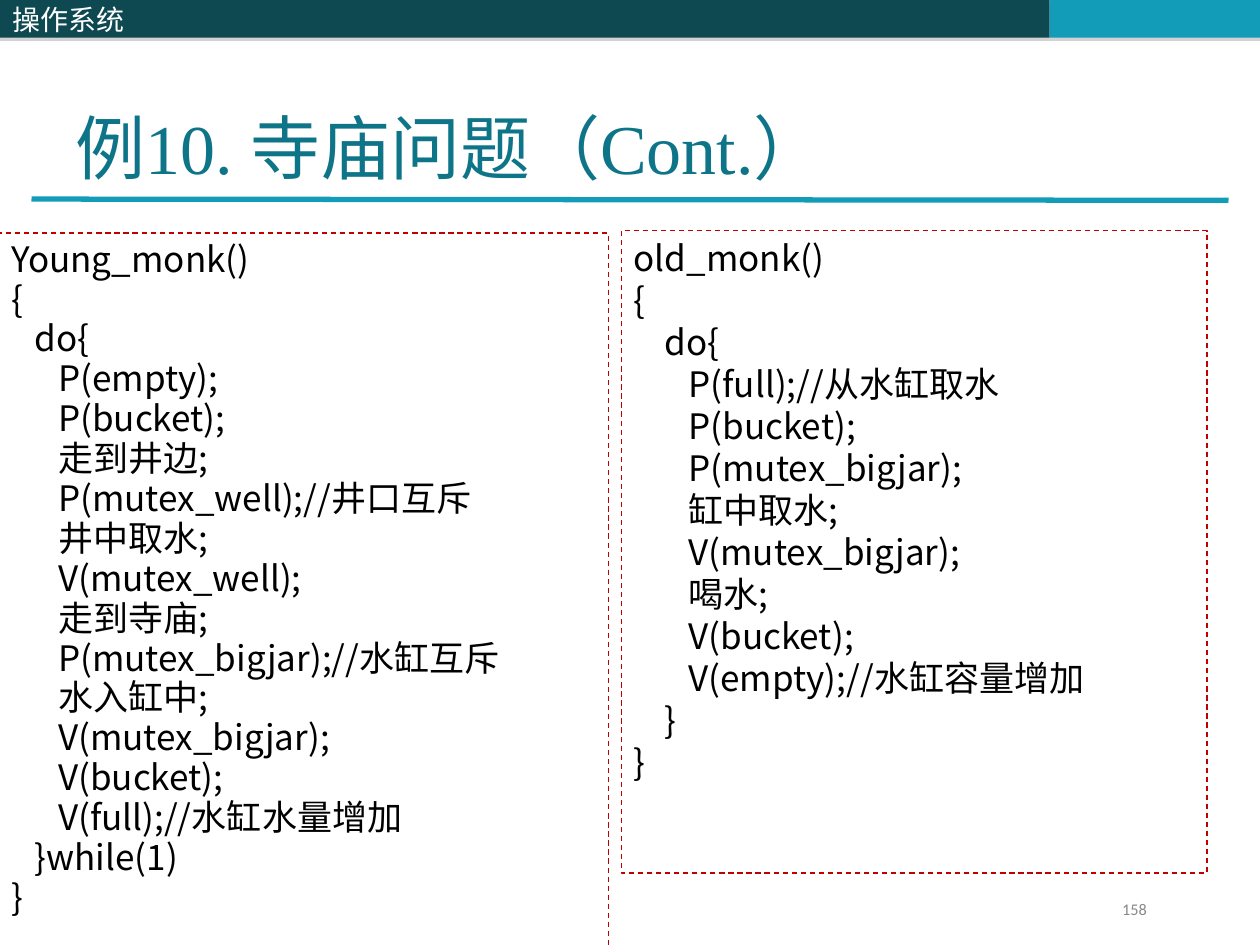
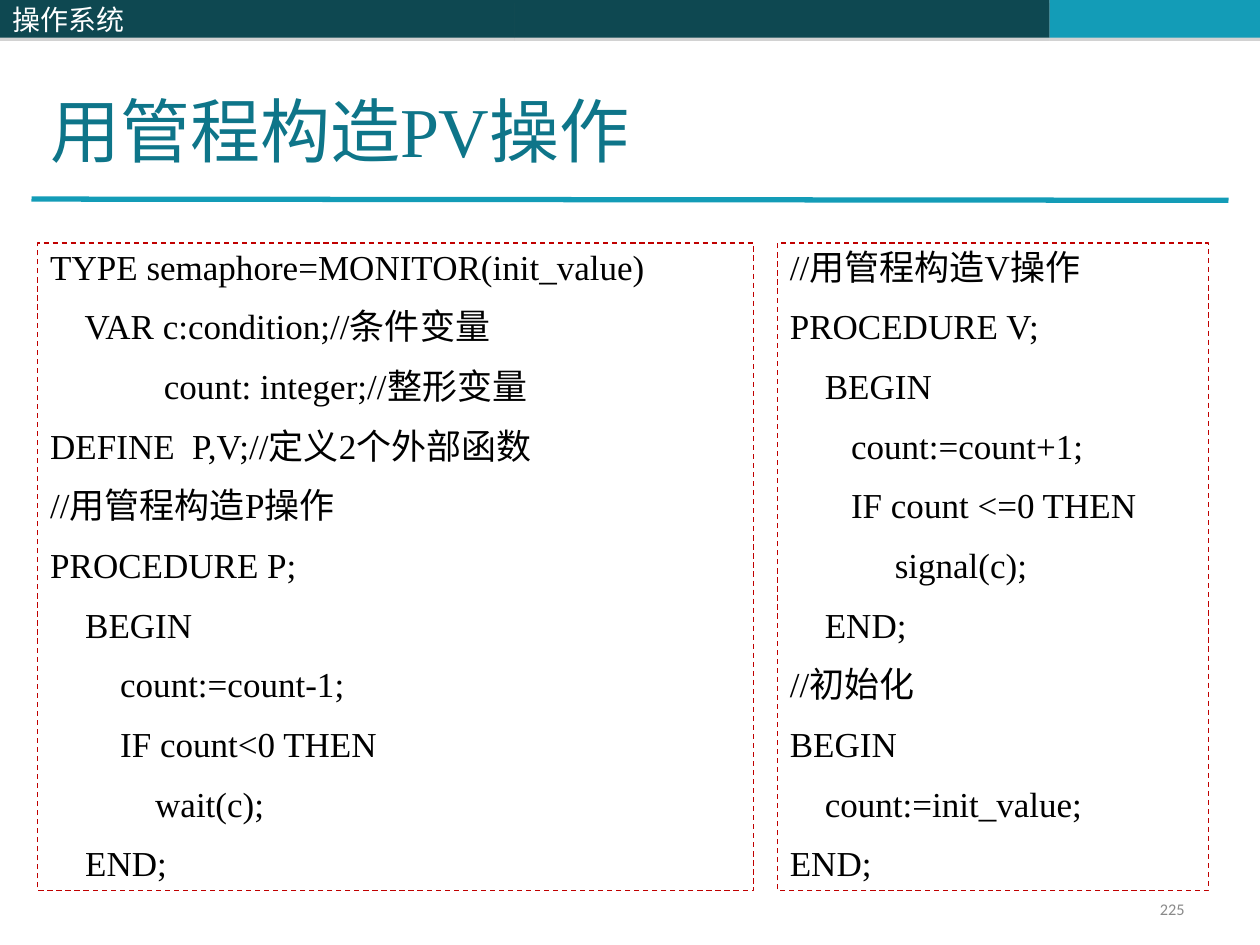
from dataclasses import dataclass

from lxml import etree
from pptx import Presentation
from pptx import util as u
from pptx.dml.color import RGBColor
from pptx.enum import dml, shapes, text
from pptx.oxml.ns import qn

COLORS = {
    "band": "0E4851",
    "accent": "139CB7",
    "title": "0E7589",
    "frame": "C00000",
    "code": "000000",
    "number": "898989",
    "header": "FFFFFF",
    "shadow": "808080",
}
SANS, SERIF, SMALL = "Noto Sans CJK SC", "Times New Roman", "Calibri"
CODE_SIZE = 20


@dataclass
class Area:
    left: float
    top: float
    width: float
    height: float

    def lengths(self) -> list:
        return [u.Inches(n) for n in (self.left, self.top, self.width, self.height)]


@dataclass
class CodeBox:
    area: Area
    code: str
    font: str
    line_pitch: float
    space_before: float = 0


@dataclass
class Page:
    title: str
    title_area: Area
    number: str
    number_left: float
    boxes: list[CodeBox]


@dataclass
class Band:
    left: float
    width: float
    color: str
    label: str = ""


BANDS = [
    Band(4.08, 4.25, "band"),
    Band(8.33, 1.67, "accent"),
    Band(0, 4.08, "band", "操作系统"),
]

YOUNG_MONK = """Young_monk()
{
   do{
      P(empty);
      P(bucket);
      走到井边;
      P(mutex_well);//井口互斥
      井中取水;
      V(mutex_well);
      走到寺庙;
      P(mutex_bigjar);//水缸互斥
      水入缸中;
      V(mutex_bigjar);
      V(bucket);
      V(full);//水缸水量增加
   }while(1)
}"""

OLD_MONK = """old_monk()
{
    do{
       P(full);//从水缸取水
       P(bucket);
       P(mutex_bigjar);
       缸中取水;
       V(mutex_bigjar);
       喝水;
       V(bucket);
       V(empty);//水缸容量增加
    }
}"""

MONITOR_P = """TYPE semaphore=MONITOR(init_value)
    VAR c:condition;//条件变量
             count: integer;//整形变量
DEFINE  P,V;//定义2个外部函数
//用管程构造P操作
PROCEDURE P;
    BEGIN
        count:=count-1;
        IF count<0 THEN
            wait(c);
    END;"""

MONITOR_V = """//用管程构造V操作
PROCEDURE V;
    BEGIN
       count:=count+1;
       IF count <=0 THEN
            signal(c);
    END;
//初始化
BEGIN
    count:=init_value;
END;"""

PAGES = [
    Page("例10. 寺庙问题（Cont.）", Area(0.5, 0.3, 9, 1.25), "158", 6.87, [
        CodeBox(Area(-0.01, 1.85, 4.84, 6.12), YOUNG_MONK, SANS, 22.8),
        CodeBox(Area(4.93, 1.83, 4.65, 5.1), OLD_MONK, SANS, 24),
    ]),
    Page("用管程构造PV操作", Area(0.3, 0.33, 8.52, 1.08), "225", 7.17, [
        CodeBox(Area(0.3, 1.93, 5.68, 5.14), MONITOR_P, SERIF, 21.6, 12.5),
        CodeBox(Area(6.17, 1.93, 3.42, 5.14), MONITOR_V, SERIF, 21.6, 12.5),
    ]),
]


def rgb(name: str) -> RGBColor:
    return RGBColor.from_string(COLORS[name])


def write(shape, content: str, font: str, size: float, color: str,
          anchor=text.MSO_ANCHOR.MIDDLE, align=text.PP_ALIGN.LEFT) -> None:
    """Fill a shape with text in one style."""
    frame = shape.text_frame
    frame.text = content
    frame.word_wrap = True
    frame.auto_size = text.MSO_AUTO_SIZE.NONE
    frame.vertical_anchor = anchor
    for para in frame.paragraphs:
        para.alignment = align
        for span in para.runs:
            span.font.size = u.Pt(size)
            span.font.color.rgb = rgb(color)
            span.font.name = font
            east_asian = etree.SubElement(span.font._element, qn("a:ea"))
            east_asian.set("typeface", SANS)


def add_rectangle(slide, area: Area):
    rectangle = slide.shapes.add_shape(shapes.MSO_SHAPE.RECTANGLE, *area.lengths())
    rectangle.shadow.inherit = False
    return rectangle


def add_band(slide, band: Band) -> None:
    bar = add_rectangle(slide, Area(band.left, 0, band.width, 0.3))
    bar.fill.solid()
    bar.fill.fore_color.rgb = rgb(band.color)
    bar.line.fill.background()
    # Soft grey shadow straight below the bar
    effects = bar._element.spPr.find(qn("a:effectLst"))
    shadow = etree.SubElement(effects, qn("a:outerShdw"), dist=str(u.Pt(1.8)),
                              dir="5400000", rotWithShape="0")
    tint = etree.SubElement(shadow, qn("a:srgbClr"), val=COLORS["shadow"])
    etree.SubElement(tint, qn("a:alpha"), val="35000")
    if band.label:
        write(bar, band.label, SANS, 16, "header")


def add_title_rule(slide) -> None:
    ends = [u.Inches(n) for n in (0.25, 1.58, 9.75, 1.59)]
    rule = slide.shapes.add_connector(shapes.MSO_CONNECTOR.STRAIGHT, *ends)
    rule.line.color.rgb = rgb("accent")
    rule.line.width = u.Pt(3)
    etree.SubElement(rule._element.spPr, qn("a:effectLst"))


def set_title(slide, page: Page) -> None:
    title = slide.shapes.title
    title.left, title.top, title.width, title.height = page.title_area.lengths()
    write(title, page.title, SERIF, 40, "title", text.MSO_ANCHOR.BOTTOM)


def add_code_box(slide, code_box: CodeBox) -> None:
    box = add_rectangle(slide, code_box.area)
    box.fill.background()
    box.line.color.rgb = rgb("frame")
    box.line.width = u.Pt(0.75)
    box.line.dash_style = dml.MSO_LINE.DASH
    write(box, code_box.code, code_box.font, CODE_SIZE, "code", text.MSO_ANCHOR.TOP)
    for index, para in enumerate(box.text_frame.paragraphs):
        para.line_spacing = u.Pt(code_box.line_pitch)
        para.space_before = u.Pt(code_box.space_before if index else 0)


def add_page_number(slide, page: Page) -> None:
    area = Area(page.number_left, 7.08, 2.33, 0.27)
    box = slide.shapes.add_textbox(*area.lengths())
    write(box, page.number, SMALL, 9.3, "number", align=text.PP_ALIGN.RIGHT)


def build_page(deck, page: Page) -> None:
    slide = deck.slides.add_slide(deck.slide_layouts[5])
    # Shared frame
    for band in BANDS:
        add_band(slide, band)
    add_title_rule(slide)
    # Page content
    set_title(slide, page)
    for code_box in page.boxes:
        add_code_box(slide, code_box)
    add_page_number(slide, page)


def main() -> None:
    deck = Presentation()
    deck.slide_width, deck.slide_height = u.Inches(10), u.Inches(7.5)
    for page in PAGES:
        build_page(deck, page)
    deck.save("out.pptx")


if __name__ == "__main__":
    main()
